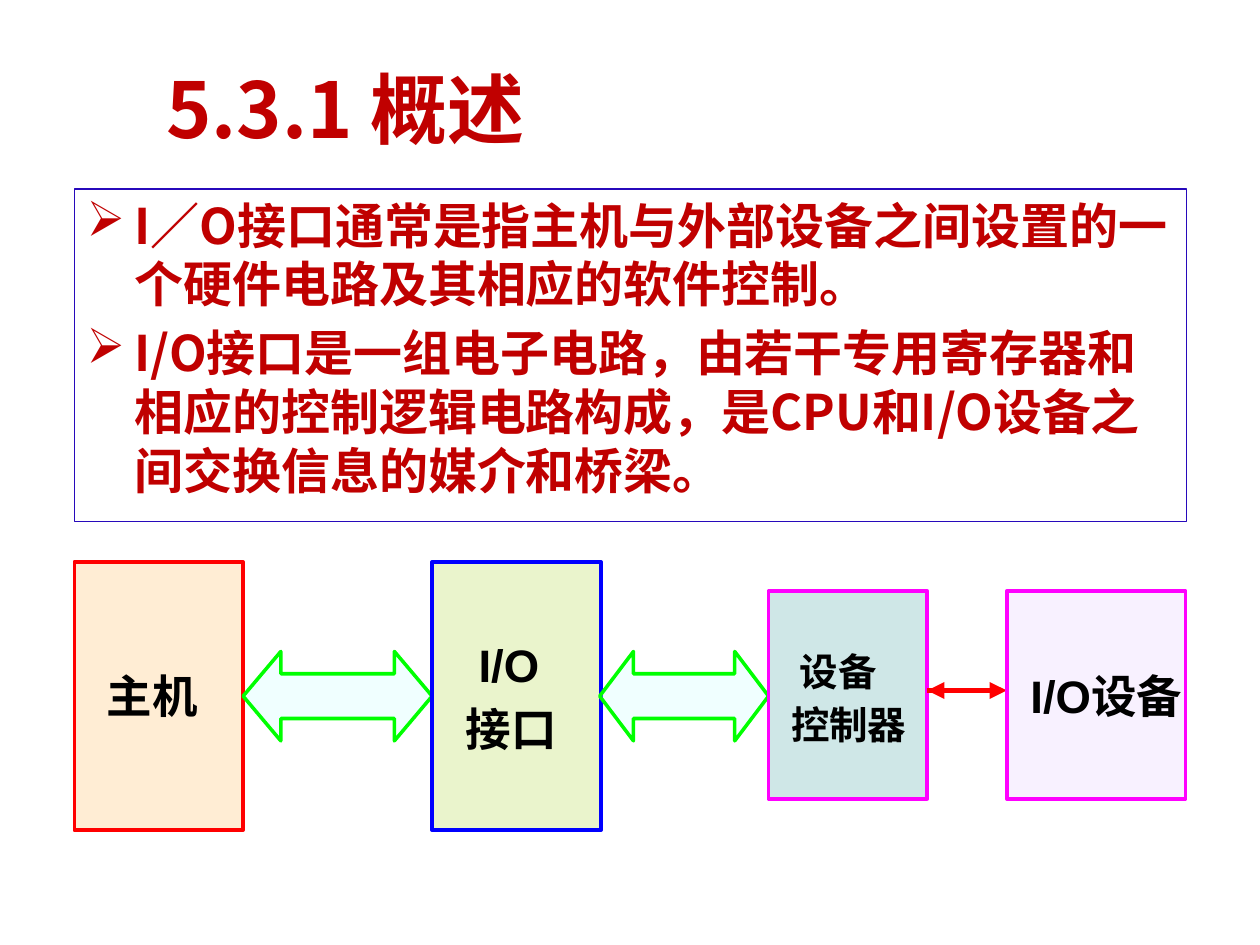
from pptx import Presentation
from pptx.dml.color import RGBColor
from pptx.enum.shapes import MSO_CONNECTOR, MSO_SHAPE
from pptx.enum.text import MSO_ANCHOR, MSO_AUTO_SIZE, PP_ALIGN
from pptx.oxml.ns import qn
from pptx.util import Inches, Pt
from lxml import etree

RECTANGLE = MSO_SHAPE.RECTANGLE
DOUBLE_ARROW = MSO_SHAPE.LEFT_RIGHT_ARROW
STRAIGHT = MSO_CONNECTOR.STRAIGHT
TOP, MIDDLE = MSO_ANCHOR.TOP, MSO_ANCHOR.MIDDLE
FIT_SHAPE = MSO_AUTO_SIZE.SHAPE_TO_FIT_TEXT
LEFT = PP_ALIGN.LEFT

WHITE = RGBColor(0xFF, 0xFF, 0xFF)
BLACK = RGBColor(0x00, 0x00, 0x00)
DARK_RED = RGBColor(0xC0, 0x00, 0x00)
RED = RGBColor(0xFF, 0x00, 0x00)
INDIGO = RGBColor(0x27, 0x09, 0xBB)
BLUE = RGBColor(0x00, 0x00, 0xFF)
GREEN = RGBColor(0x00, 0xFF, 0x00)
MAGENTA = RGBColor(0xFF, 0x00, 0xFF)
ORANGE = RGBColor(0xFF, 0x99, 0x00)
LIME = RGBColor(0x99, 0xCC, 0x00)
TEAL = RGBColor(0x00, 0x80, 0x80)
LILAC = RGBColor(0xCC, 0x99, 0xFF)
PALE_CYAN = RGBColor(0xCC, 0xFF, 0xFF)

CJK_FONT = "Noto Sans CJK SC"
LABEL_FONT = "Arial"
HANGING = 0.38
ARROW_TOP, ARROW_HEIGHT = 5.17, 0.71
LINK_Y = 5.48


def add_child(parent, tag, **attributes):
    return etree.SubElement(parent, qn(tag), attributes)


def write_text(box, text, size, font=CJK_FONT, color=DARK_RED, hanging=0,
               bullet=None, anchor=TOP, wrap=True):
    frame = box.text_frame
    frame.word_wrap = wrap
    frame.vertical_anchor = anchor
    for index, line in enumerate(text.split("\n")):
        para = frame.add_paragraph() if index else frame.paragraphs[0]
        para.alignment = LEFT
        if index:
            para.space_before = Pt(size * 0.2)
        properties = para._p.get_or_add_pPr()
        if hanging:
            properties.set("marL", str(Inches(hanging)))
            properties.set("indent", str(-Inches(hanging)))
        if bullet:
            add_child(properties, "a:buChar", char=bullet)
        span = para.add_run()
        span.text = line
        span.font.size = Pt(size)
        span.font.bold = True
        span.font.color.rgb = color
        span.font.name = font
        add_child(span.font._element, "a:ea", typeface=CJK_FONT)


def add_text(page, text, left, top, width, height, **text_format):
    box = page.shapes.add_textbox(
        Inches(left), Inches(top), Inches(width), Inches(height))
    write_text(box, text, **text_format)
    return box


def add_label(page, text, left, top, width, height, size=26):
    box = add_text(page, text, left, top, width, height, size=size,
                   font=LABEL_FONT, color=BLACK, hanging=HANGING, wrap=False)
    box.text_frame.auto_size = FIT_SHAPE


def add_block(page, kind, left, top, width, height, fill, line,
              opacity=100, line_width=2):
    block = page.shapes.add_shape(
        kind, Inches(left), Inches(top), Inches(width), Inches(height))
    block.shadow.inherit = False
    block.fill.solid()
    block.fill.fore_color.rgb = fill
    if opacity < 100:
        color = block.fill._xPr.find(qn("a:solidFill"))[0]
        add_child(color, "a:alpha", val=str(opacity * 1000))
    block.line.color.rgb = line
    block.line.width = Pt(line_width)
    return block


def add_bus(page, left, width, head):
    arrow = add_block(page, DOUBLE_ARROW, left, ARROW_TOP, width, ARROW_HEIGHT,
                      PALE_CYAN, GREEN, opacity=29)
    arrow.adjustments[0] = 0.5
    arrow.adjustments[1] = head


def add_link(page, start, end):
    link = page.shapes.add_connector(
        STRAIGHT, Inches(start), Inches(LINK_Y), Inches(end), Inches(LINK_Y))
    link.line.color.rgb = RED
    link.line.width = Pt(3.25)
    add_child(link.line._get_or_add_ln(), "a:tailEnd", type="triangle")
    add_child(link._element.spPr, "a:effectLst")


def main():
    deck = Presentation()
    deck.slide_width, deck.slide_height = Inches(10), Inches(7.5)
    page = deck.slides.add_slide(deck.slide_layouts[6])

    add_text(page, "5.3.1 概述", 1.22, 0.44, 8.42, 0.83, size=44, anchor=MIDDLE)
    summary = add_block(page, RECTANGLE, 0.59, 1.5, 8.83, 2.64, WHITE, INDIGO,
                        line_width=0.75)
    write_text(
        summary,
        "I／O接口通常是指主机与外部设备之间设置的一个硬件电路及其相应的软件控制。\n"
        "I/O接口是一组电子电路，由若干专用寄存器和相应的控制逻辑电路构成，"
        "是CPU和I/O设备之间交换信息的媒介和桥梁。",
        size=28, hanging=HANGING, bullet="➢")

    add_block(page, RECTANGLE, 0.59, 4.46, 1.34, 2.13, ORANGE, RED, opacity=17)
    add_label(page, "主机", 0.75, 5.25, 0.93, 0.53)
    add_bus(page, 1.93, 1.5, head=0.422)

    add_block(page, RECTANGLE, 3.43, 4.46, 1.34, 2.13, LIME, BLUE, opacity=20)
    add_label(page, " I/O\n接口", 3.6, 5.01, 0.93, 1.06)
    add_bus(page, 4.76, 1.34, head=0.378)

    add_block(page, RECTANGLE, 6.1, 4.69, 1.26, 1.65, TEAL, MAGENTA, opacity=19)
    add_label(page, " 设备\n控制器", 6.18, 5.09, 1.12, 0.91, size=22)
    add_link(page, 7.36, 7.99)
    add_link(page, 7.84, 7.36)

    add_block(page, RECTANGLE, 7.99, 4.69, 1.42, 1.65, LILAC, MAGENTA, opacity=13)
    add_label(page, "I/O设备", 8.08, 5.25, 1.41, 0.53)

    deck.save("out.pptx")


if __name__ == "__main__":
    main()
